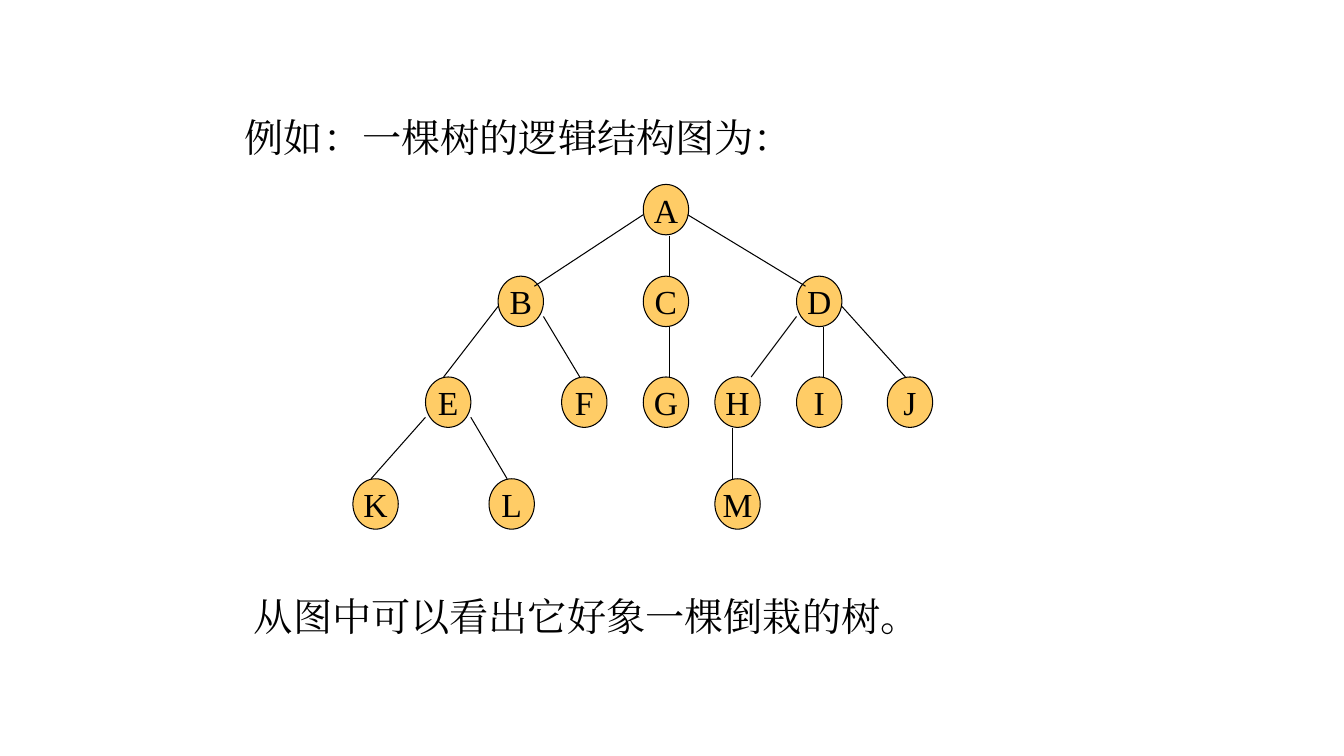
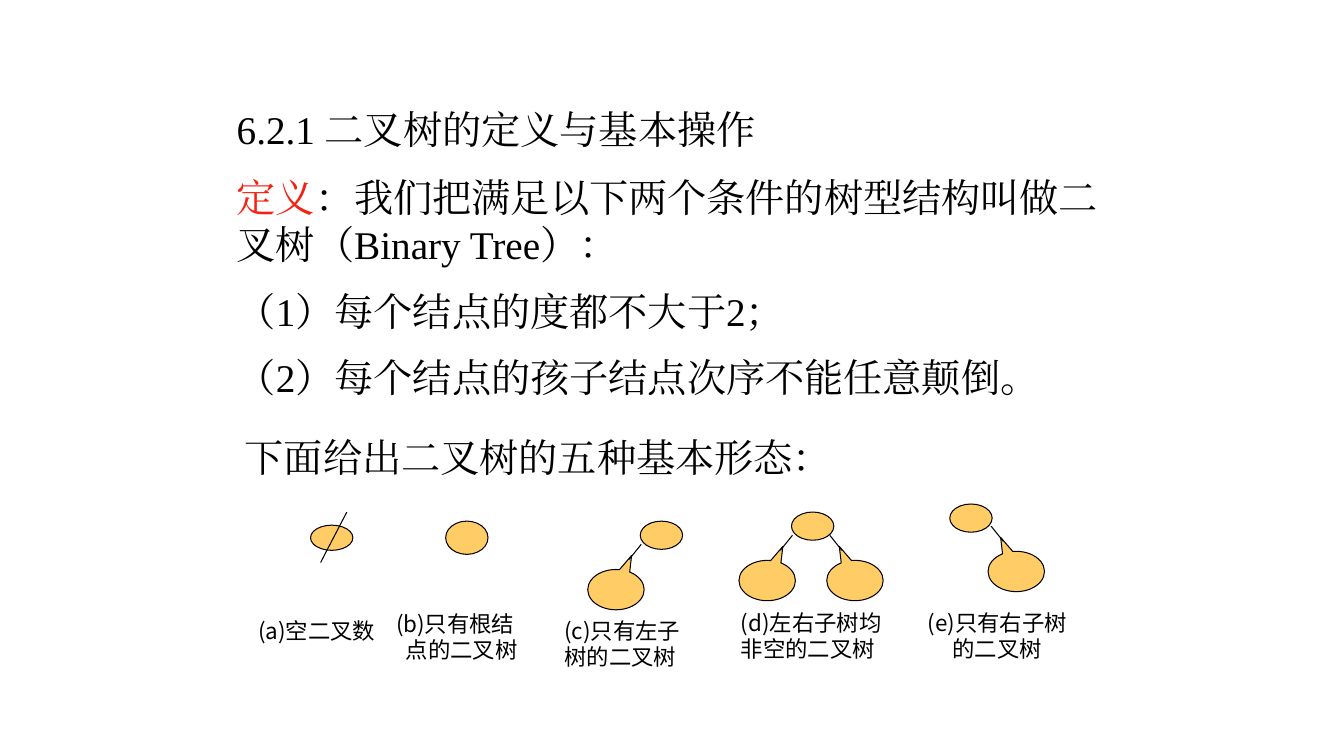
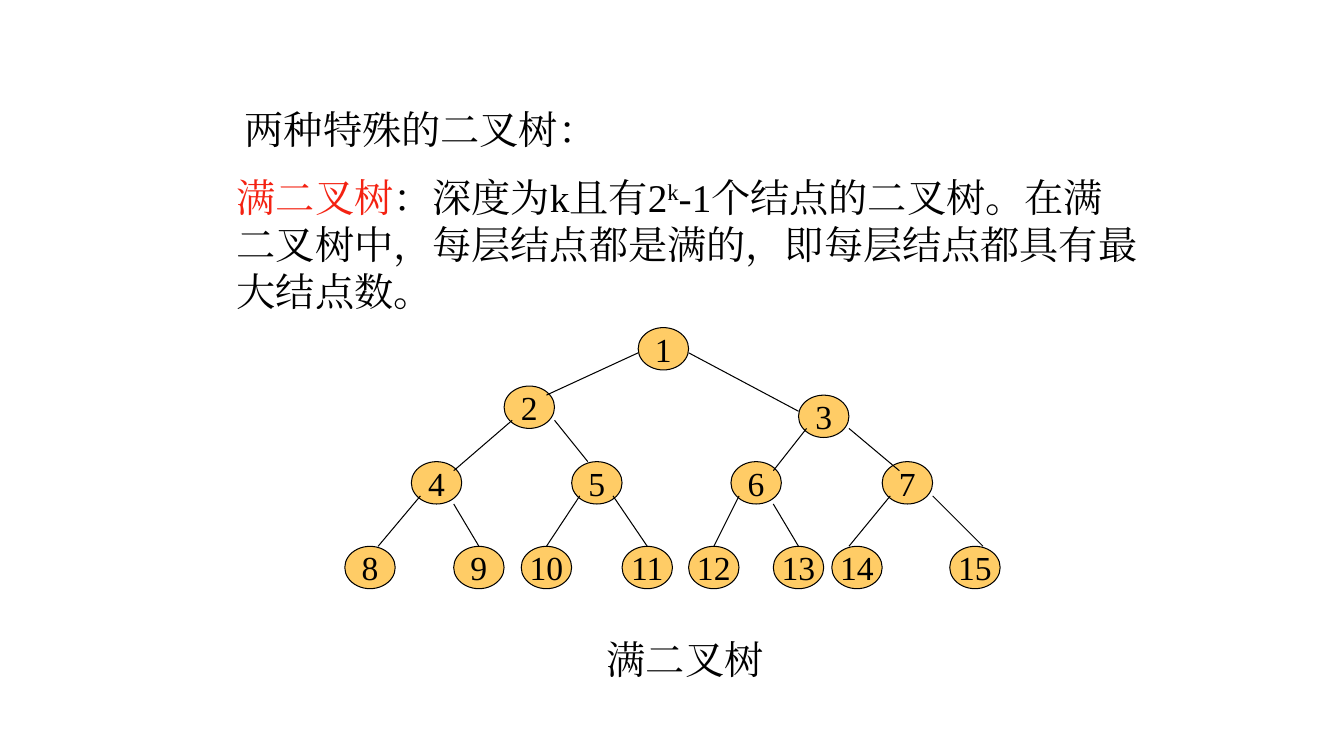
"""Build three slides on trees and binary trees."""
import dataclasses

import lxml.etree
import pptx
import pptx.dml.color
import pptx.enum.shapes
import pptx.enum.text
import pptx.oxml.ns
import pptx.util

Inches = pptx.util.Inches
Pt = pptx.util.Pt
SHAPES = pptx.enum.shapes.MSO_SHAPE
ALIGN = pptx.enum.text.PP_ALIGN
LEFT, CENTER = ALIGN.LEFT, ALIGN.CENTER


@dataclasses.dataclass(frozen=True)
class Theme:
    ink: str = "000000"
    accent: str = "F42212"
    node: str = "FFCC66"
    serif: str = "Times New Roman"
    sans: str = "Noto Sans CJK SC"
    body: int = 28
    label: int = 24
    caption: int = 16
    body_pitch: float = 33.6
    caption_pitch: float = 18.8
    paragraph_gap: int = 14
    line: float = 0.75


THEME = Theme()

TREE_TEXTS = [
    ((2.33, 1.08, 9.08, 0.57), LEFT, [[("例如：一棵树的逻辑结构图为：", "")]]),
    ((2.42, 5.83, 8.67, 0.57), LEFT, [[("从图中可以看出它好象一棵倒栽的树。", "")]]),
]
TREE_NODE = (0.45, 0.5)
TREE_LEVELS = [
    (1.83, [("A", 6.38)]),
    (2.74, [("B", 4.94), ("C", 6.38), ("D", 7.9)]),
    (3.74, [("E", 4.22), ("F", 5.57), ("G", 6.38), ("H", 7.09), ("I", 7.9), ("J", 8.8)]),
    (4.75, [("K", 3.5), ("L", 4.85), ("M", 7.09)]),
]
TREE_EDGES = [
    (6.38, 2.13, 5.3, 2.84), (6.64, 2.34, 6.64, 2.74), (6.82, 2.13, 7.99, 2.84),
    (4.94, 3.04, 4.4, 3.74), (5.39, 3.14, 5.75, 3.74), (6.64, 3.24, 6.64, 3.74),
    (7.9, 3.14, 7.45, 3.74), (8.17, 3.24, 8.17, 3.74), (8.35, 3.04, 8.98, 3.74),
    (4.22, 4.14, 3.68, 4.75), (4.67, 4.14, 5.03, 4.75), (7.27, 4.25, 7.27, 4.75),
]

DEFINITION_TEXTS = [
    ((2.25, 1, 8.83, 0.57), LEFT, [[("6.2.1 二叉树的定义与基本操作", "")]]),
    ((2.25, 1.67, 9.08, 2.44), LEFT, [
        [("定义", "accent"),
         ("：我们把满足以下两个条件的树型结构叫做二叉树（Binary Tree）：", "")],
        [("（1）每个结点的度都不大于2；", "")],
        [("（2）每个结点的孩子结点次序不能任意颠倒。", "")],
    ]),
    ((2.33, 4.25, 9, 0.57), LEFT, [[("下面给出二叉树的五种基本形态：", "")]]),
]
ROOTS = [
    (3.08, 5.21, 0.42, 0.25), (4.42, 5.17, 0.42, 0.33), (6.35, 5.17, 0.42, 0.28),
    (7.85, 5.08, 0.42, 0.28), (9.42, 5, 0.42, 0.28),
]
EMPTY_SLASH = (3.44, 5.08, 3.18, 5.58)
SUBTREE = (0.56, 0.4)
SUBTREE_TIP = (0.277, -0.847)
SUBTREE_EDGE = ((0.25, -0.25), (0.13, -0.1))
SUBTREES = [(5.83, 5.65, 1), (7.33, 5.56, 1), (8.2, 5.56, -1), (9.8, 5.47, -1)]
CAPTIONS = [
    ((2.42, 6.08, 1.44, 0.38), [("(a)空二叉数", CENTER)]),
    ((3.83, 6.01, 1.5, 0.49), [("(b)只有根结", LEFT), ("点的二叉树", CENTER)]),
    ((5.5, 6.08, 1.67, 0.58), [("(c)只有左子", LEFT), ("树的二叉树", LEFT)]),
    ((7.25, 6, 1.75, 0.52), [("(d)左右子树均", LEFT), ("非空的二叉树", LEFT)]),
    ((9, 6, 1.78, 0.52), [("(e)只有右子树", CENTER), ("的二叉树", CENTER)]),
]

FULL_TEXTS = [
    ((2.33, 1, 8.92, 0.57), LEFT, [[("两种特殊的二叉树：", "")]]),
    ((2.25, 1.67, 9.17, 1.5), LEFT, [[
        ("满二叉树", "accent"), ("：深度为k且有2", ""), ("k", "super"),
        ("-1个结点的二叉树。在满二叉树中，每层结点都是满的，即每层结点都具有最大结点数。", ""),
    ]]),
    ((5.17, 6.25, 3.25, 0.57), CENTER, [[("满二叉树", "")]]),
]
FULL_NODE = (0.5, 0.42)
FULL_LEVELS = [
    (3.25, [("1", 6.33)]),
    (3.83, [("2", 5)]),
    (3.92, [("3", 7.92)]),
    (4.58, [("4", 4.08), ("5", 5.67), ("6", 7.25), ("7", 8.75)]),
    (5.42, [("8", 3.42), ("9", 4.5), ("10", 5.17), ("11", 6.17),
            ("12", 6.83), ("13", 7.67), ("14", 8.25), ("15", 9.42)]),
]
FULL_EDGES = [
    (6.33, 3.5, 5.42, 3.92), (6.83, 3.5, 7.92, 4.08),
    (5.08, 4.17, 4.5, 4.67), (5.5, 4.17, 5.83, 4.58),
    (8, 4.25, 7.67, 4.67), (8.42, 4.25, 8.92, 4.67),
    (4.17, 4.92, 3.75, 5.42), (4.5, 5, 4.75, 5.42),
    (5.75, 4.92, 5.42, 5.42), (6.08, 4.92, 6.42, 5.42),
    (7.33, 4.92, 7.08, 5.42), (7.67, 5, 7.92, 5.42),
    (8.83, 4.92, 8.42, 5.42), (9.25, 4.92, 9.75, 5.42),
]


def color(value):
    return pptx.dml.color.RGBColor.from_string(value)


def add_run(paragraph, words, size, font, role=""):
    run = paragraph.add_run()
    run.text = words
    run.font.size = Pt(size)
    run.font.name = font
    run.font.color.rgb = color(THEME.accent if role == "accent" else THEME.ink)
    properties = run._r.get_or_add_rPr()
    properties.set("lang", "zh-CN")
    if role == "super":
        properties.set("baseline", "30000")
    east_asian = lxml.etree.SubElement(properties, pptx.oxml.ns.qn("a:ea"))
    east_asian.set("typeface", font)


def add_text(slide, box, paragraphs, size, font, pitch, gap=0):
    frame = slide.shapes.add_textbox(*map(Inches, box)).text_frame
    frame.word_wrap = True
    for index, (align, runs) in enumerate(paragraphs):
        paragraph = frame.add_paragraph() if index else frame.paragraphs[0]
        paragraph.alignment = align
        paragraph.line_spacing = Pt(pitch)
        paragraph.space_before = Pt(gap if index else 0)
        for words, role in runs:
            add_run(paragraph, words, size, font, role)


def add_body(slide, texts):
    for box, align, paragraphs in texts:
        add_text(slide, box, [(align, runs) for runs in paragraphs],
                 THEME.body, THEME.serif, THEME.body_pitch, THEME.paragraph_gap)


def add_node(slide, box, label="", preset=SHAPES.OVAL):
    node = slide.shapes.add_shape(preset, *map(Inches, box))
    node.shadow.inherit = False
    node.fill.solid()
    node.fill.fore_color.rgb = color(THEME.node)
    node.line.color.rgb = color(THEME.ink)
    node.line.width = Pt(THEME.line)
    if label:
        frame = node.text_frame
        frame.word_wrap = False
        frame.vertical_anchor = pptx.enum.text.MSO_ANCHOR.MIDDLE
        frame.paragraphs[0].alignment = CENTER
        add_run(frame.paragraphs[0], label, THEME.label, THEME.serif)
    return node


def add_edge(slide, ends):
    edge = slide.shapes.add_connector(
        pptx.enum.shapes.MSO_CONNECTOR.STRAIGHT, *map(Inches, ends))
    edge.line.color.rgb = color(THEME.ink)
    edge.line.width = Pt(THEME.line)
    lxml.etree.SubElement(edge._element.spPr, pptx.oxml.ns.qn("a:effectLst"))


def add_tree(slide, levels, node_size, edges):
    for top, nodes in levels:
        for label, left in nodes:
            add_node(slide, (left, top, *node_size), label)
    for ends in edges:
        add_edge(slide, ends)


def add_subtree(slide, left, top, side):
    subtree = add_node(slide, (left, top, *SUBTREE), preset=SHAPES.OVAL_CALLOUT)
    subtree.adjustments[0] = side * SUBTREE_TIP[0]
    subtree.adjustments[1] = SUBTREE_TIP[1]
    middle = left + SUBTREE[0] / 2
    add_edge(slide, [place for across, down in SUBTREE_EDGE
                     for place in (middle + side * across, top + down)])


deck = pptx.Presentation()
deck.slide_width, deck.slide_height = Inches(13.33), Inches(7.5)
tree, definition, full = [deck.slides.add_slide(deck.slide_layouts[6]) for _ in range(3)]

add_body(tree, TREE_TEXTS)
add_tree(tree, TREE_LEVELS, TREE_NODE, TREE_EDGES)

add_body(definition, DEFINITION_TEXTS)
for root in ROOTS:
    add_node(definition, root)
add_edge(definition, EMPTY_SLASH)
for left, top, side in SUBTREES:
    add_subtree(definition, left, top, side)
for box, rows in CAPTIONS:
    add_text(definition, box, [(align, [(words, "")]) for words, align in rows],
             THEME.caption, THEME.sans, THEME.caption_pitch)

add_body(full, FULL_TEXTS)
add_tree(full, FULL_LEVELS, FULL_NODE, FULL_EDGES)

deck.save("out.pptx")
